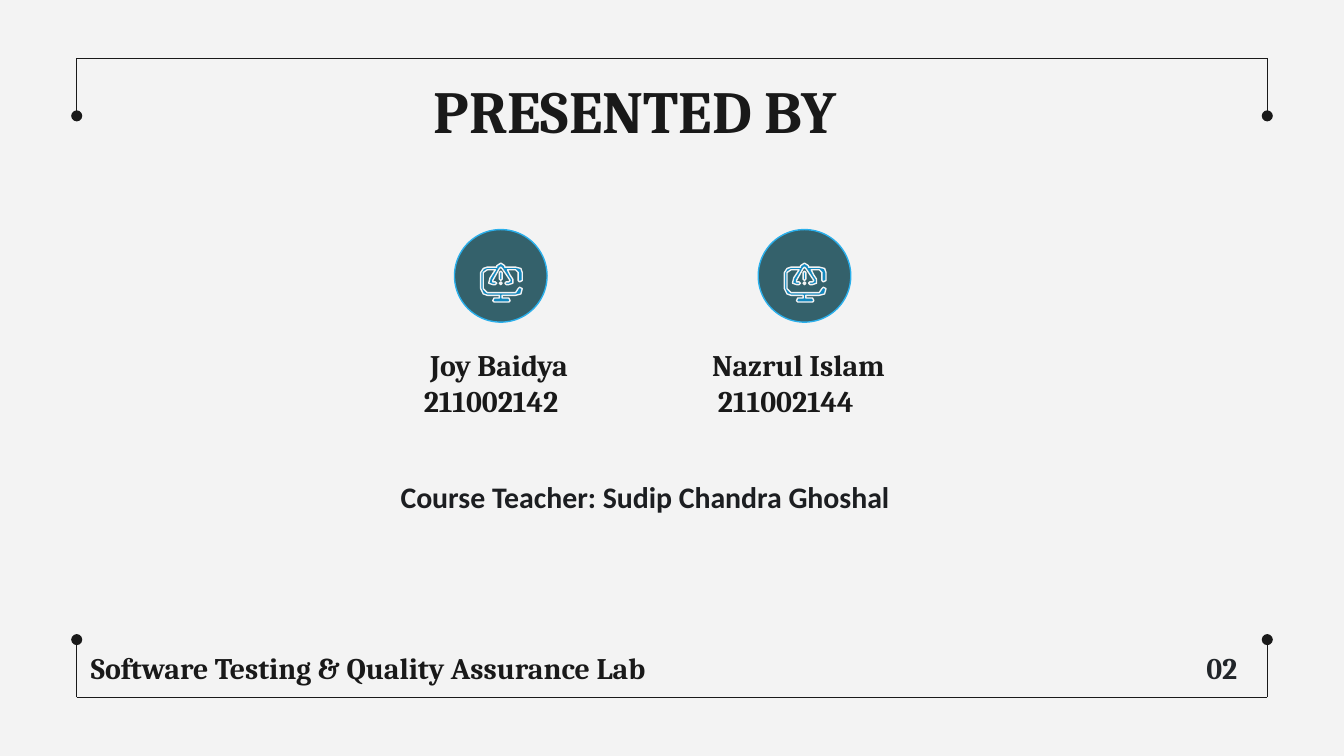
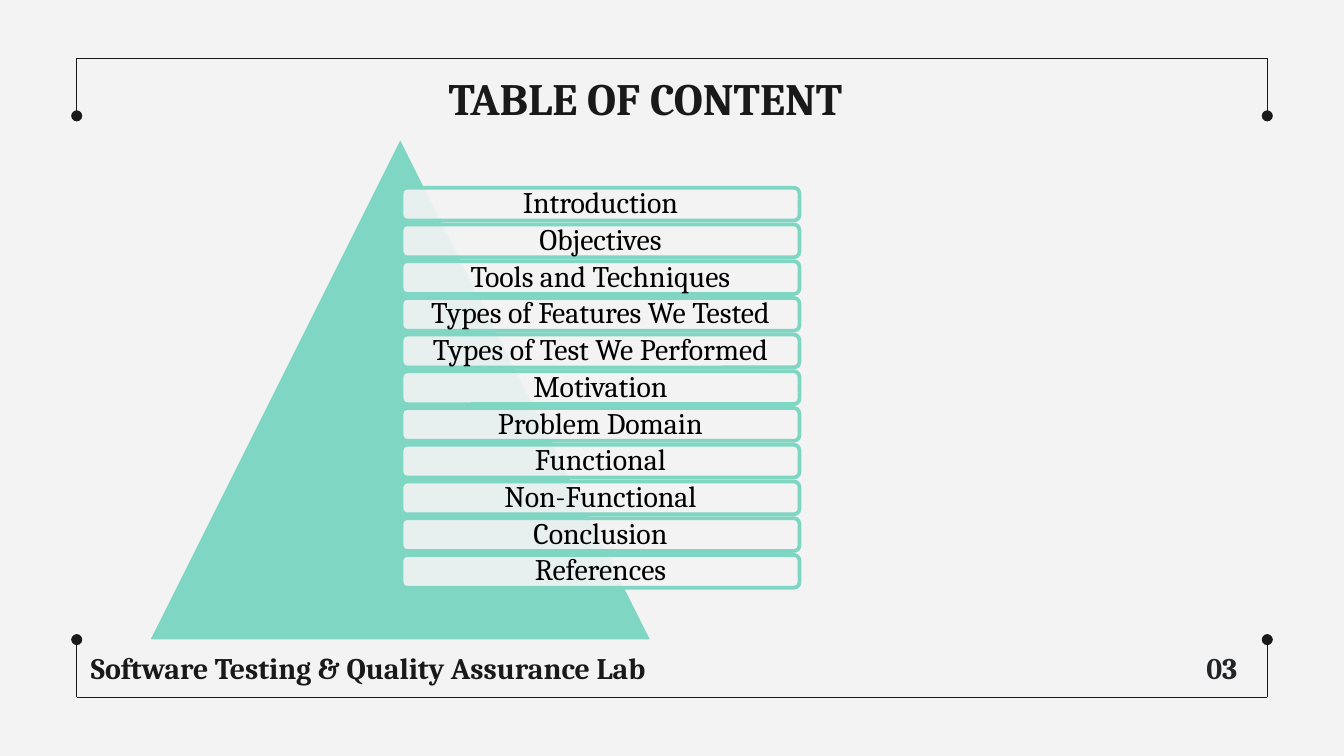
from collections import namedtuple

from lxml import etree
from pptx import Presentation
from pptx.dml.color import RGBColor
from pptx.enum.shapes import MSO_CONNECTOR, MSO_SHAPE
from pptx.enum.text import MSO_ANCHOR, MSO_AUTO_SIZE, PP_ALIGN
from pptx.oxml.ns import qn
from pptx.util import Cm, Pt

STRAIGHT = MSO_CONNECTOR.STRAIGHT
OVAL = MSO_SHAPE.OVAL
TRIANGLE = MSO_SHAPE.ISOSCELES_TRIANGLE
ROUNDED = MSO_SHAPE.ROUNDED_RECTANGLE
TOP, MIDDLE = MSO_ANCHOR.TOP, MSO_ANCHOR.MIDDLE
NO_FIT, GROW = MSO_AUTO_SIZE.NONE, MSO_AUTO_SIZE.SHAPE_TO_FIT_TEXT
LEFT, CENTER = PP_ALIGN.LEFT, PP_ALIGN.CENTER

COLORS = {
    "paper": "F3F3F3",
    "ink": "191919",
    "number": "212529",
    "teacher": "1C1E21",
    "badge": "34616B",
    "badge_edge": "2AAFEB",
    "icon": "1288BE",
    "mint": "7FD6C3",
    "topic": "000000",
}
HEADING_FONT, BODY_FONT = "Cambria", "Calibri"
INSET = Cm(0.25)
TITLE_ONLY = 5

Box = namedtuple("Box", "left top width height")
Member = namedtuple("Member", "name number badge_left text_left indents")

FRAME = Box(Cm(1.45), Cm(1.1), Cm(22.5), Cm(12.08))
FOOTER = "Software Testing & Quality Assurance Lab"
MEMBERS = [
    Member("Joy Baidya", "211002142", Cm(8.59), Cm(7.14), (Cm(0.74), Cm(0.62))),
    Member("Nazrul Islam", "211002144", Cm(14.33), Cm(12.47), (Cm(0.74), Cm(0.85))),
]
TOPICS = [
    "Introduction",
    "Objectives",
    "Tools and Techniques",
    "Types of Features We Tested",
    "Types of Test We Performed",
    "Motivation",
    "Problem Domain",
    "Functional",
    "Non-Functional",
    "Conclusion",
    "References",
]
BADGE_UNITS = 69
ICON_OFFSET = (19.5, 25)
ICON_CONTOURS = [
    [(14, 15), (15, 14), (16, 15), (15, 16)],
    [(16, 12), (16, 7), (15, 6), (14, 7), (14, 12), (15, 13)],
    [
        (29, 14), (31, 13), (31, 7), (29.5, 4), (26, 3), (18, 3), (17.5, 2),
        (15, 0), (12.5, 2), (12, 3), (5, 3), (1.5, 4), (0, 7), (0, 19),
        (1.5, 23), (5, 24), (14, 24), (14, 26), (10, 26), (9, 28), (10, 29),
        (21, 29), (22, 28), (21, 26), (16, 26), (16, 24), (26, 24),
        (29.5, 23), (31, 19), (29, 18), (28, 19), (26, 22), (5, 22), (2, 19),
        (2, 7), (5, 5), (11, 5), (7, 11), (6, 15), (9, 16), (11, 16),
        (12, 15), (11, 14), (9, 14), (9, 13), (14, 3.5), (15, 3),
        (16, 3.5), (20, 10), (22, 13), (21, 14), (19, 14), (18, 15),
        (19, 16), (21, 16), (24, 15), (24, 12), (22, 9), (20, 5), (26, 5),
        (28, 7), (28, 13),
    ],
]


def rgb(color):
    return RGBColor.from_string(COLORS[color])


def paint(shape, fill, line, weight):
    shape.shadow.inherit = False
    shape.fill.solid()
    shape.fill.fore_color.rgb = rgb(fill)
    shape.line.color.rgb = rgb(line)
    shape.line.width = Pt(weight)


def write(frame, lines, size, color, font=HEADING_FONT, bold=True,
          align=LEFT, anchor=TOP, inset=INSET, indents=()):
    frame.text = "\n".join(lines)
    frame.word_wrap = True
    frame.auto_size = NO_FIT
    frame.vertical_anchor = anchor
    frame.margin_left = frame.margin_right = inset
    frame.margin_top = frame.margin_bottom = inset
    for paragraph in frame.paragraphs:
        paragraph.alignment = align
        for run in paragraph.runs:
            run.font.name = font
            run.font.size = Pt(size)
            run.font.bold = bold
            run.font.color.rgb = rgb(color)
    for paragraph, indent in zip(frame.paragraphs, indents):
        properties = paragraph._p.get_or_add_pPr()
        properties.set("marL", str(indent))
        properties.set("indent", "0")


def add_text(slide, box, lines, size, color, **style):
    frame = slide.shapes.add_textbox(*box).text_frame
    write(frame, lines, size, color, **style)
    return frame


def add_rule(slide, start, end, dotted=False):
    rule = slide.shapes.add_connector(STRAIGHT, *start, *end)
    rule.line.color.rgb = rgb("ink")
    rule.line.width = Pt(0.75)
    if dotted:
        etree.SubElement(rule.line._get_or_add_ln(), qn("a:tailEnd"), type="oval")
    etree.SubElement(rule._element.spPr, qn("a:effectLst"))


def add_frame(slide, box):
    right = box.left + box.width
    tick = Cm(1.09)
    for y, inward in ((box.top, tick), (box.top + box.height, -tick)):
        add_rule(slide, (box.left, y), (right, y))
        for x in (box.left, right):
            add_rule(slide, (x, y), (x, y + inward), dotted=True)


def add_footer(slide, box, number):
    top = box.top + box.height - Cm(1.15)
    add_text(slide, Box(box.left + Cm(0.02), top, Cm(11.63), Cm(1.14)),
             [FOOTER], 16, "ink")
    add_text(slide, Box(box.left + box.width - Cm(1.4), top, Cm(1.45), Cm(1.14)),
             [f"{number:02d}"], 16, "number")


def add_base_slide(deck, title, title_box, title_size, number):
    slide = deck.slides.add_slide(deck.slide_layouts[TITLE_ONLY])
    slide.background.fill.solid()
    slide.background.fill.fore_color.rgb = rgb("paper")
    heading = slide.shapes.title
    heading.left, heading.top, heading.width, heading.height = title_box
    write(heading.text_frame, [title], title_size, "ink")
    add_frame(slide, FRAME)
    add_footer(slide, FRAME, number)
    return slide


def add_badge(slide, box):
    paint(slide.shapes.add_shape(OVAL, *box), "badge", "badge_edge", 0.75)
    unit = box.width / BADGE_UNITS
    outline = slide.shapes.build_freeform(*ICON_CONTOURS[0][0], scale=unit)
    for contour in ICON_CONTOURS:
        outline.move_to(*contour[0])
        outline.add_line_segments(contour[1:], close=True)
    across, down = ICON_OFFSET
    icon = outline.convert_to_shape(int(box.left + across * unit),
                                    int(box.top + down * unit))
    paint(icon, "icon", "paper", 0.75)


def add_member(slide, member, top):
    size = Cm(1.75)
    add_badge(slide, Box(member.badge_left, top, size, size))
    add_text(slide, Box(member.text_left, top + Cm(1.96), Cm(4.8), Cm(1.4)),
             [member.name, member.number], 16, "ink", indents=member.indents)


def add_teacher(slide, box):
    frame = add_text(slide, box, ["Course Teacher: Sudip Chandra Ghoshal"], 16,
                     "teacher", font=BODY_FONT, indents=[Cm(0.49)])
    frame.auto_size = GROW
    frame.margin_top = frame.margin_bottom = Cm(0.13)
    paragraph = frame.paragraphs[0]
    paragraph.space_before = paragraph.space_after = Pt(3)


def add_topics(slide, box):
    bar_height = Cm(0.62)
    step = (box.height - bar_height) / (len(TOPICS) - 1)
    for index, topic in enumerate(TOPICS):
        top = int(box.top + index * step)
        bar = slide.shapes.add_shape(ROUNDED, box.left, top, box.width, bar_height)
        paint(bar, "paper", "mint", 2)
        tint = bar._element.spPr.find(qn("a:solidFill"))[0]
        etree.SubElement(tint, qn("a:alpha"), val="90000")
        write(bar.text_frame, [topic], 16, "topic", bold=False, align=CENTER,
              anchor=MIDDLE, inset=Cm(0.18))
        bar.text_frame.paragraphs[0].line_spacing = 0.9


def build_presenters(deck):
    slide = add_base_slide(deck, "PRESENTED BY",
                           Box(Cm(7.95), Cm(1.14), Cm(8.81), Cm(1.6)), 32, 2)
    for member in MEMBERS:
        add_member(slide, member, Cm(4.34))
    add_teacher(slide, Box(Cm(6.83), Cm(8.92), Cm(10.72), Cm(0.94)))


def build_contents(deck):
    slide = add_base_slide(deck, "TABLE OF CONTENT",
                           Box(Cm(8.23), Cm(1.09), Cm(8.89), Cm(1.6)), 24, 3)
    pyramid = slide.shapes.add_shape(TRIANGLE, Cm(2.79), Cm(2.57), Cm(9.55), Cm(9.55))
    paint(pyramid, "mint", "paper", 2)
    add_topics(slide, Box(Cm(7.59), Cm(3.55), Cm(7.52), Cm(7.56)))


def main():
    deck = Presentation()
    deck.slide_width, deck.slide_height = Cm(25.4), Cm(14.29)
    build_presenters(deck)
    build_contents(deck)
    deck.save("out.pptx")


if __name__ == "__main__":
    main()
